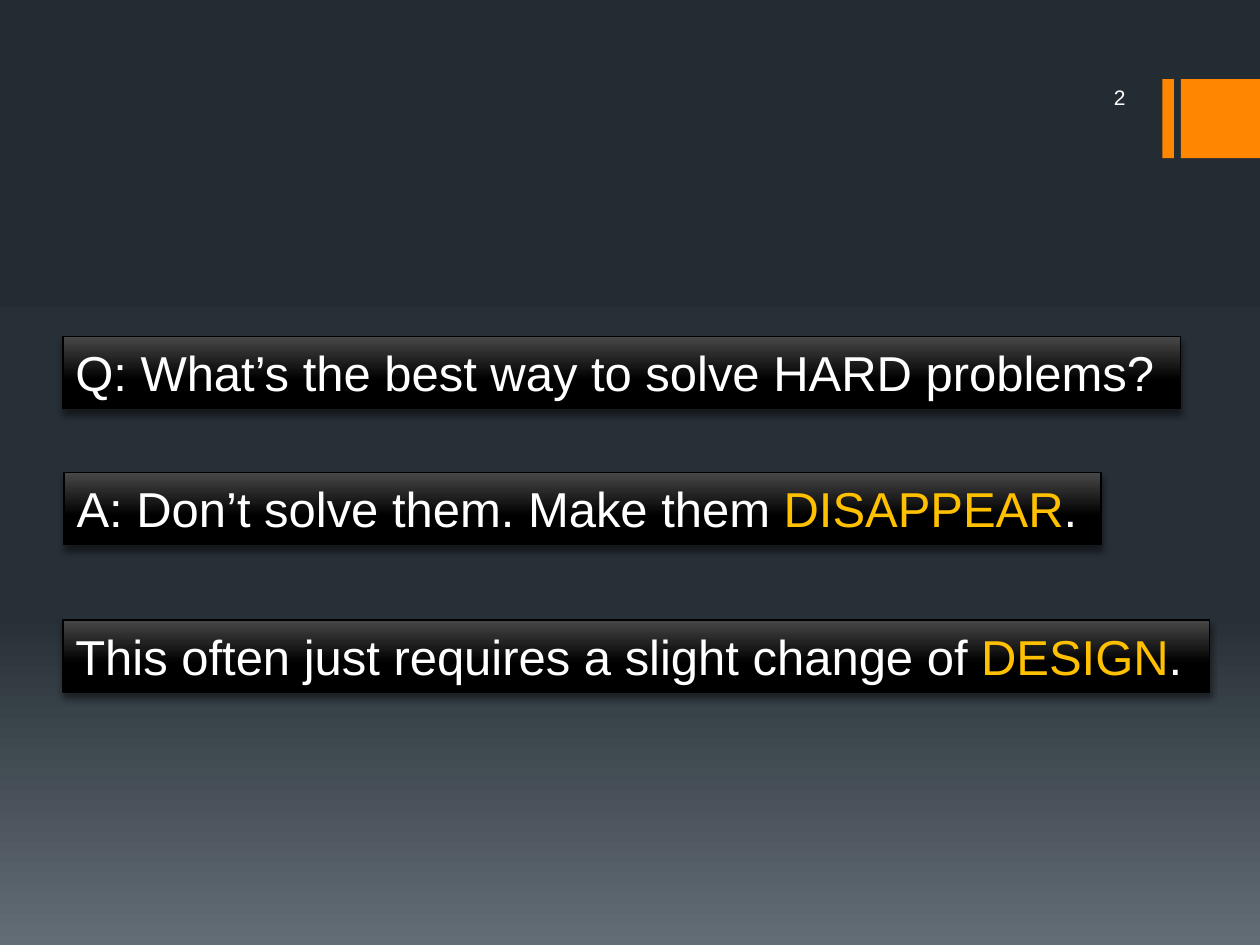
from copy import deepcopy

from lxml import etree
from pptx import Presentation
from pptx.dml.color import RGBColor
from pptx.enum.shapes import MSO_SHAPE
from pptx.enum.text import MSO_ANCHOR, MSO_AUTO_SIZE, PP_ALIGN
from pptx.oxml.ns import qn
from pptx.util import Pt

RECTANGLE = MSO_SHAPE.RECTANGLE
TOP, MIDDLE = MSO_ANCHOR.TOP, MSO_ANCHOR.MIDDLE
FIT_SHAPE = MSO_AUTO_SIZE.SHAPE_TO_FIT_TEXT
LEFT, RIGHT = PP_ALIGN.LEFT, PP_ALIGN.RIGHT

WHITE = RGBColor(0xFF, 0xFF, 0xFF)
BLACK = RGBColor(0, 0, 0)
GOLD = RGBColor(0xFF, 0xC0, 0x00)
ORANGE = RGBColor(0xFF, 0x86, 0x00)
SKY = [(0, RGBColor(0x24, 0x2C, 0x33)),
       (0.65, RGBColor(0x27, 0x30, 0x37)),
       (1, RGBColor(0x63, 0x6D, 0x76))]
GLOSS = [(0, RGBColor(0x48, 0x48, 0x48)), (0.6, BLACK), (1, BLACK)]
FONT = "Arial"

PAGE_NUMBER = "2"
# left, top, width, then text pieces with their colours
BANNERS = [
    (36, 192.3, 638.6,
     [("Q: What’s the best way to solve HARD problems?", WHITE)]),
    (36.7, 270, 592.6,
     [("A: Don’t solve them. Make them ", WHITE), ("DISAPPEAR", GOLD), (".", WHITE)]),
    (36, 354.2, 655.2,
     [("This often just requires a slight change of ", WHITE), ("DESIGN", GOLD), (".", WHITE)]),
]
BANNER_HEIGHT = 41.2
TAB_TOP, TAB_SIZE = 45.2, 45.2
TABS = [(664.2, 6.6), (674.8, TAB_SIZE)]  # left, width


def fill_down(fill, element, stops):
    """Fill with a top-to-bottom gradient of three or more stops."""
    fill.gradient()
    fill.gradient_angle = 270
    stop_list = next(element.iter(qn("a:gsLst")))
    while len(stop_list) < len(stops):
        stop_list.append(deepcopy(stop_list[0]))
    for stop, (position, color) in zip(fill.gradient_stops, stops):
        stop.position = position
        stop.color.rgb = color


def add_drop_shadow(shape):
    shape.shadow.inherit = False
    effects = next(shape.element.iter(qn("a:effectLst")))
    shadow = etree.SubElement(effects, qn("a:outerShdw"), blurRad=str(Pt(3.8)),
                              dist=str(Pt(3)), dir="5400000", rotWithShape="0")
    color = etree.SubElement(shadow, qn("a:srgbClr"), val=str(BLACK))
    etree.SubElement(color, qn("a:alpha"), val="48000")


def write(paragraph, pieces, size, align):
    paragraph.alignment = align
    for text, color in pieces:
        run = paragraph.add_run()
        run.text = text
        run.font.name = FONT
        run.font.size = Pt(size)
        run.font.color.rgb = color


def add_tab(slide, left, width):
    tab = slide.shapes.add_shape(RECTANGLE, Pt(left), Pt(TAB_TOP), Pt(width), Pt(TAB_SIZE))
    tab.shadow.inherit = False
    tab.fill.solid()
    tab.fill.fore_color.rgb = ORANGE
    tab.line.fill.background()


def add_banner(slide, left, top, width, pieces):
    banner = slide.shapes.add_shape(RECTANGLE, Pt(left), Pt(top), Pt(width), Pt(BANNER_HEIGHT))
    fill_down(banner.fill, banner.element, GLOSS)
    banner.line.color.rgb = BLACK
    banner.line.width = Pt(1)
    add_drop_shadow(banner)
    frame = banner.text_frame
    frame.word_wrap = False
    frame.auto_size = FIT_SHAPE
    frame.vertical_anchor = TOP
    write(frame.paragraphs[0], pieces, 28, LEFT)


def main():
    deck = Presentation()
    deck.slide_width, deck.slide_height = Pt(720), Pt(540)
    slide = deck.slides.add_slide(deck.slide_layouts[6])
    fill_down(slide.background.fill, slide.element, SKY)

    for tab in TABS:
        add_tab(slide, *tab)

    number = slide.shapes.add_textbox(Pt(576), Pt(43.2), Pt(74.2), Pt(24)).text_frame
    number.word_wrap = True
    number.vertical_anchor = MIDDLE
    write(number.paragraphs[0], [(PAGE_NUMBER, WHITE)], 12, RIGHT)

    for banner in BANNERS:
        add_banner(slide, *banner)

    deck.save("out.pptx")


if __name__ == "__main__":
    main()
